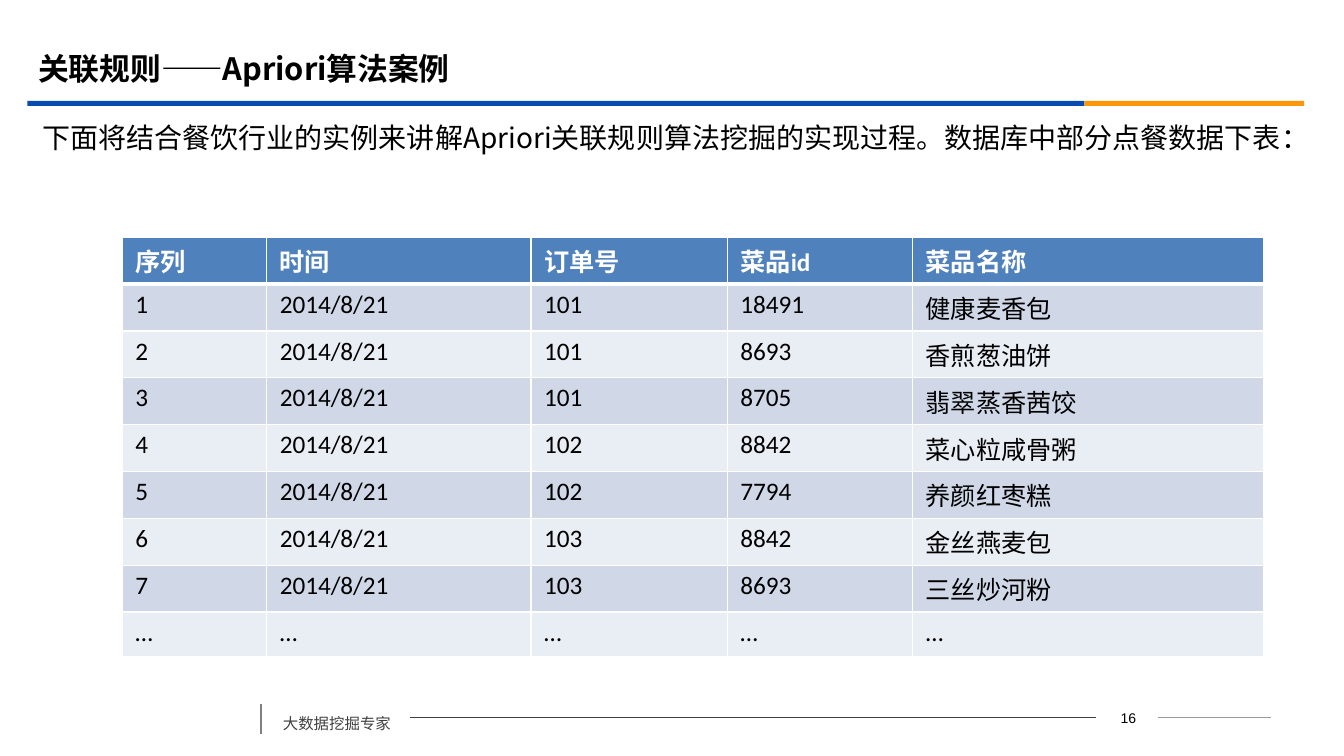
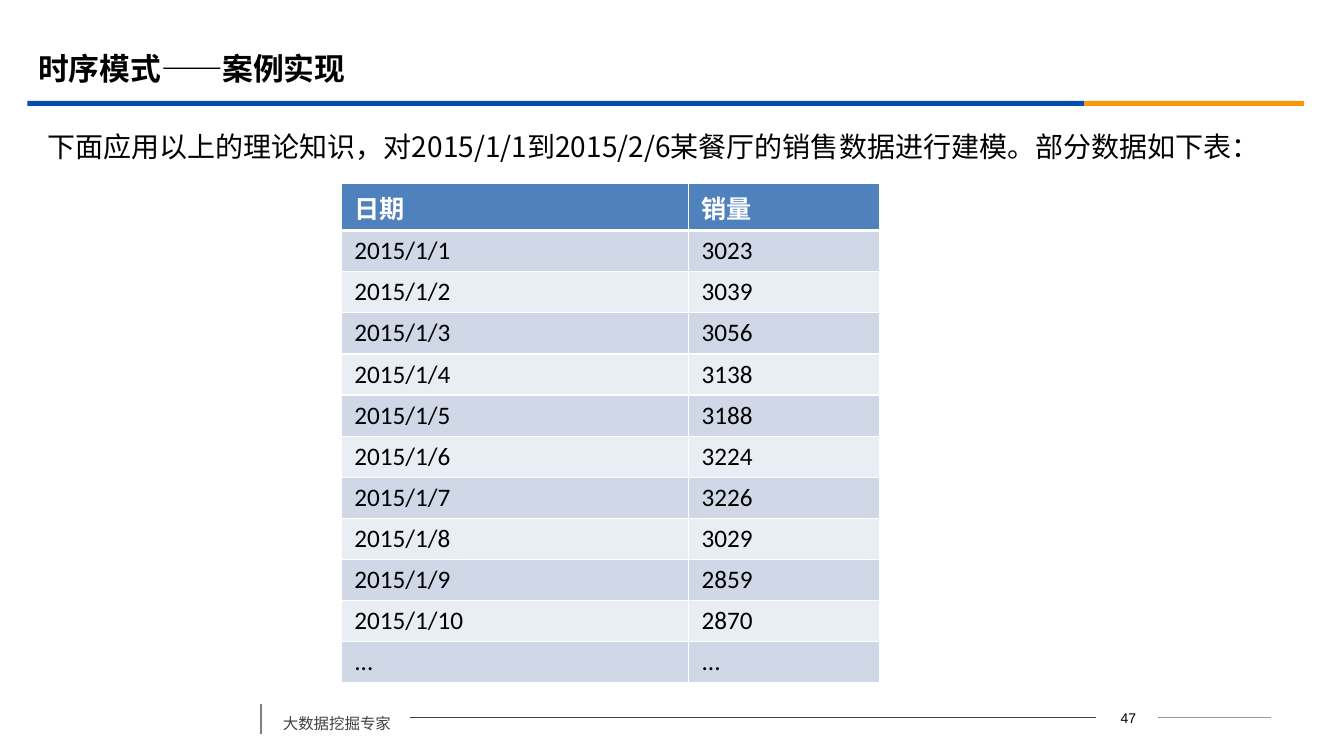
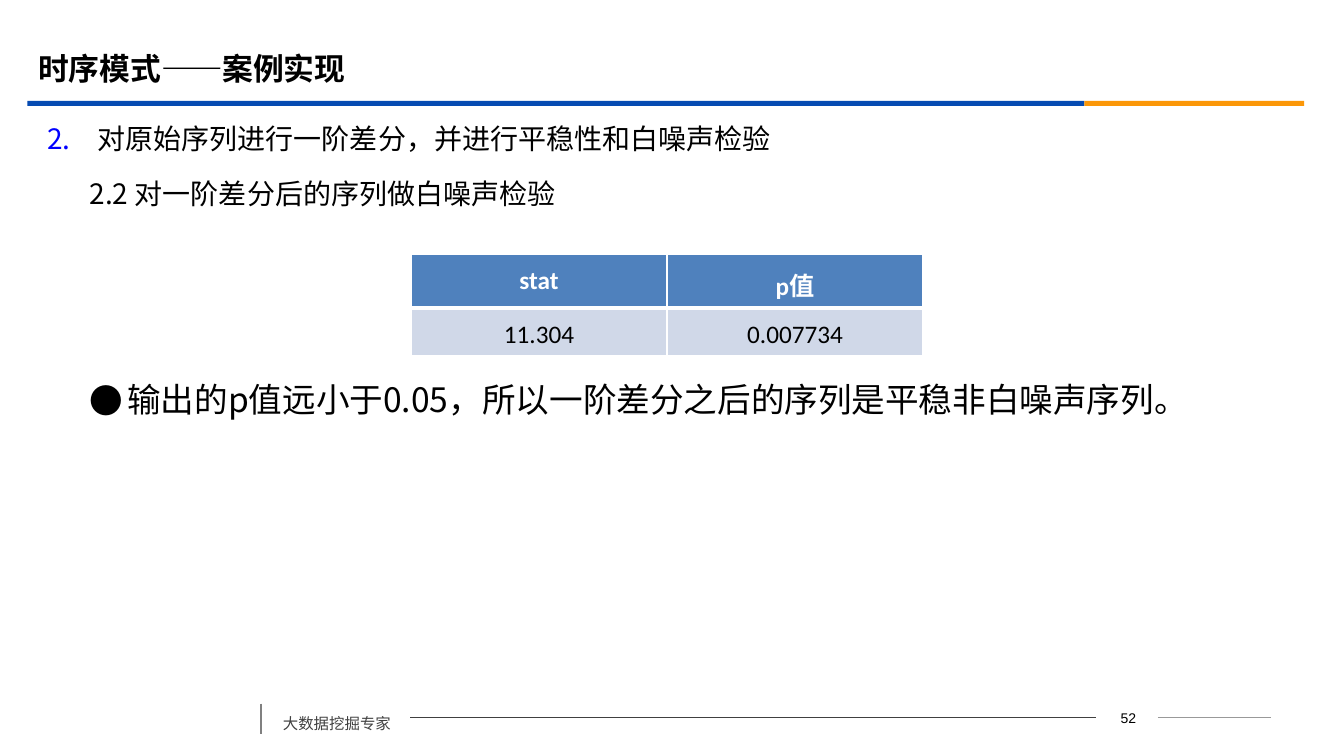
from itertools import count

from lxml.etree import SubElement as Sub
from pptx import Presentation
from pptx.dml.color import RGBColor as Rgb
from pptx.enum.shapes import MSO_CONNECTOR as Conn, MSO_SHAPE as Kind
from pptx.enum.text import MSO_ANCHOR as Anchor, MSO_AUTO_SIZE as Fit, PP_ALIGN as Align
from pptx.oxml.ns import qn
from pptx.util import Cm, Pt

INK = {
    "black": "000000", "white": "FFFFFF", "blue": "064BB2", "gold": "FB9708",
    "head": "4F81BD", "odd": "D0D8E8", "even": "E9EDF4", "mark": "0000FF",
    "dark": "404040", "gray": "808080", "pale": "999999",
}
SANS = "Noto Sans CJK SC"


def ink(name):
    return Rgb.from_string(INK[name])


def place(shape, spot):
    shape.left, shape.top, shape.width, shape.height = map(Cm, spot)


def put(frame, text, size=20, font=SANS, color="black", bold=False,
        align=Align.LEFT, lead=1, gap=0, hang=0, mark=None):
    para = frame.paragraphs[0]
    para.alignment, para.line_spacing, para.space_before = align, lead, Pt(gap)
    props = para._p.get_or_add_pPr()
    props.set("marL", str(Cm(hang)))
    props.set("indent", str(-Cm(hang)))
    if mark == "2.":
        tint = Sub(props, qn("a:buClr"))
        Sub(tint, qn("a:srgbClr"), val=INK["mark"])
        Sub(props, qn("a:buFont"), typeface=SANS)
        Sub(props, qn("a:buAutoNum"), type="arabicPeriod", startAt="2")
    elif mark:
        Sub(props, qn("a:buFont"), typeface=SANS)
        Sub(props, qn("a:buChar"), char=mark)
    else:
        Sub(props, qn("a:buNone"))
    run = para.add_run()
    run.text = text
    run.font.size, run.font.name, run.font.bold = Pt(size), font, bold
    run.font.color.rgb = ink(color)
    Sub(run.font._element, qn("a:ea"), typeface=SANS)


def setup(frame, pad=(0.25, 0.13), anchor=Anchor.TOP):
    frame.word_wrap, frame.auto_size = True, Fit.NONE
    frame.vertical_anchor = anchor
    frame.margin_left = frame.margin_right = Cm(pad[0])
    frame.margin_top = frame.margin_bottom = Cm(pad[1])


def label(slide, spot, text, **form):
    box = slide.shapes.add_textbox(*map(Cm, spot))
    setup(box.text_frame)
    put(box.text_frame, text, **form)
    return box


def band(slide, spot, color):
    bar = slide.shapes.add_shape(Kind.RECTANGLE, *map(Cm, spot))
    bar.shadow.inherit = False
    bar.fill.solid()
    bar.fill.fore_color.rgb = ink(color)
    bar.line.fill.background()
    return bar


def rule(slide, ends, color, width):
    line = slide.shapes.add_connector(Conn.STRAIGHT, *map(Cm, ends))
    line.line.color.rgb = ink(color)
    line.line.width = Pt(width)
    Sub(line.element.spPr, qn("a:effectLst"))
    return line


def share(slide):
    layout = slide.slide_layout
    place(layout.placeholders[0], (0.71, 0.99, 30.48, 1.47))
    parts = [
        rule(slide, (29.18, 18.08, 32.03, 18.08), "pale", 0.75),
        rule(slide, (10.34, 18.08, 27.61, 18.08), "dark", 0.75),
        band(slide, (0.69, 2.54, 26.64, 0.13), "blue"),
        band(slide, (27.33, 2.54, 5.54, 0.13), "gold"),
        label(slide, (6.88, 17.63, 3.45, 0.97), "大数据挖掘专家",
              size=11, color="dark", lead=1.5, gap=6),
        rule(slide, (6.58, 17.73, 6.58, 18.49), "gray", 1.25),
    ]
    for part, num in zip(parts, count(20)):
        part.element.xpath(".//p:cNvPr")[0].set("id", str(num))
        layout.shapes.element.append(part.element)


def page(deck, title, num, spot, text, **form):
    slide = deck.slides.add_slide(deck.slide_layouts[1])
    head, body = slide.placeholders
    setup(head.text_frame, anchor=Anchor.MIDDLE)
    put(head.text_frame, title, size=22, bold=True)
    place(body, spot)
    setup(body.text_frame, pad=(0, 0))
    put(body.text_frame, text, gap=4, **form)
    label(slide, (27.65, 17.75, 1.57, 0.64), num,
          size=10, font="Arial", align=Align.CENTER)
    return slide


def edge(cell, side, width):
    line = Sub(cell._tc.get_or_add_tcPr(), qn("a:" + side), w=str(Pt(width)))
    fill = Sub(line, qn("a:solidFill"))
    Sub(fill, qn("a:srgbClr"), val=INK["white"])


def grid(slide, left, top, cols, high, rows, **form):
    spot = left, top, sum(cols), high * len(rows)
    table = slide.shapes.add_table(len(rows), len(cols), *map(Cm, spot)).table
    for col, wide in zip(table.columns, cols):
        col.width = Cm(wide)
    for r, row in enumerate(rows):
        table.rows[r].height = Cm(high)
        fill = "head" if r == 0 else "odd" if r % 2 else "even"
        for c, text in enumerate(row):
            cell = table.cell(r, c)
            cell.margin_left = cell.margin_right = Cm(0.33)
            cell.margin_top = cell.margin_bottom = Cm(0.13)
            edge(cell, "lnL", 1)
            edge(cell, "lnR", 1)
            edge(cell, "lnT", 3 if r == 1 else 1)
            edge(cell, "lnB", 3 if r == 0 else 1)
            cell.fill.solid()
            cell.fill.fore_color.rgb = ink(fill)
            put(cell.text_frame, text, size=18, font="Calibri", gap=3.6,
                bold=r == 0, color="black" if r else "white", **form)


def main():
    deck = Presentation()
    deck.slide_width, deck.slide_height = Cm(33.87), Cm(19.05)

    slide = page(deck, "关联规则——Apriori算法案例", "16", (1.07, 2.62, 32.41, 1.3),
                 "下面将结合餐饮行业的实例来讲解Apriori关联规则算法挖掘的实现过程。数据库中部分点餐数据下表：",
                 lead=1.5)
    share(slide)
    meals = [
        ("101", "18491", "健康麦香包"), ("101", "8693", "香煎葱油饼"),
        ("101", "8705", "翡翠蒸香茜饺"), ("102", "8842", "菜心粒咸骨粥"),
        ("102", "7794", "养颜红枣糕"), ("103", "8842", "金丝燕麦包"),
        ("103", "8693", "三丝炒河粉"),
    ]
    rows = [(str(n), "2014/8/21", *meal) for n, meal in enumerate(meals, 1)]
    grid(slide, 3.08, 5.98, (3.64, 6.66, 4.95, 4.67, 8.85), 1.13,
         [("序列", "时间", "订单号", "菜品id", "菜品名称"), *rows, ("…",) * 5])

    slide = page(deck, "时序模式——案例实现", "47", (1.19, 2.92, 32.28, 1.19),
                 "下面应用以上的理论知识，对2015/1/1到2015/2/6某餐厅的销售数据进行建模。部分数据如下表：",
                 lead=1.4)
    sales = [3023, 3039, 3056, 3138, 3188, 3224, 3226, 3029, 2859, 2870]
    rows = [(f"2015/1/{day}", str(sale)) for day, sale in enumerate(sales, 1)]
    grid(slide, 8.6, 4.63, (8.75, 4.81), 1.02,
         [("日期", "销量"), *rows, ("...",) * 2])

    slide = page(deck, "时序模式——案例实现", "52", (1.19, 2.64, 32.28, 1.27),
                 "对原始序列进行一阶差分，并进行平稳性和白噪声检验",
                 lead=1.5, hang=1.27, mark="2.")
    label(slide, (2.01, 4.32, 30.94, 1.2), "2.2 对一阶差分后的序列做白噪声检验")
    label(slide, (2.01, 9, 30.94, 1.95),
          "输出的p值远小于0.05，所以一阶差分之后的序列是平稳非白噪声序列。",
          size=24, lead=1.4, hang=0.95, mark="●")
    grid(slide, 10.36, 6.4, (6.45, 6.45), 1.17,
         [("stat", "p值"), ("11.304", "0.007734")], align=Align.CENTER, lead=1.2)

    deck.save("out.pptx")


if __name__ == "__main__":
    main()
